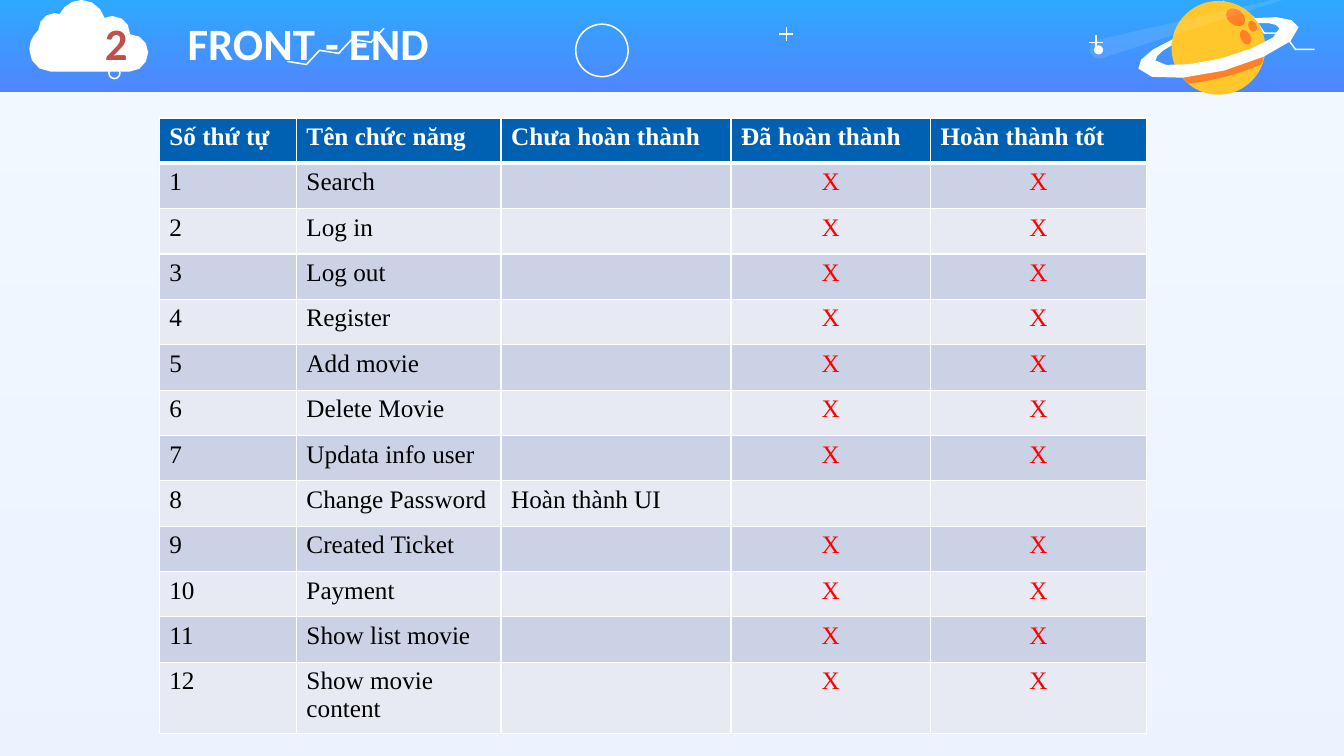
from dataclasses import dataclass

from lxml import etree
from pptx import Presentation
from pptx.dml.color import RGBColor
from pptx.enum.shapes import MSO_CONNECTOR, MSO_SHAPE
from pptx.enum.text import MSO_AUTO_SIZE, PP_ALIGN
from pptx.oxml.ns import qn
from pptx.util import Inches, Pt

RECTANGLE, OVAL = MSO_SHAPE.RECTANGLE, MSO_SHAPE.OVAL
STRAIGHT = MSO_CONNECTOR.STRAIGHT
LEFT, CENTER = PP_ALIGN.LEFT, PP_ALIGN.CENTER
GROW = MSO_AUTO_SIZE.SHAPE_TO_FIT_TEXT


@dataclass(frozen=True)
class Theme:
    white: str = "FFFFFF"
    black: str = "000000"
    number: str = "C0504D"
    mark: str = "FF0000"
    sky: tuple = ("81CBFF", "4F86FF")
    banner: tuple = ("2DAAFF", "4F86FF")
    planet: str = "FFC72B"
    crater: str = "FF8026"
    header: str = "0061B3"
    bands: tuple = ("CCD2E5", "E7EAF2")
    title_font: str = "Calibri"
    table_font: str = "Times New Roman"
    title_size: float = 32
    table_size: float = 18
    line_width: float = 1.08


def add_text(paragraph, text, *, font, size, color, bold=False, align=LEFT):
    paragraph.alignment = align
    run = paragraph.add_run()
    run.text = text
    run.font.name, run.font.size, run.font.bold = font, Pt(size), bold
    run.font.color.rgb = RGBColor.from_string(color)


def add_alpha(shape, percent):
    for color in list(shape.element.spPr.iter(qn("a:srgbClr"))):
        etree.SubElement(color, qn("a:alpha"), val=str(percent * 1000))


def trace_curve(nodes):
    """Sample a chain of cubic curves: a start point, then three points per curve."""
    points = [nodes[0]]
    for i in range(0, len(nodes) - 1, 3):
        curve = nodes[i:i + 4]
        is_straight = curve[0] == curve[1] and curve[2] == curve[3]
        steps = 1 if is_straight else 3
        for step in range(1, steps + 1):
            t = step / steps
            weights = ((1 - t) ** 3, 3 * t * (1 - t) ** 2, 3 * t * t * (1 - t), t ** 3)
            points.append(tuple(sum(w * p[axis] for w, p in zip(weights, curve))
                                for axis in (0, 1)))
    return points[:-1]


class SlideBuilder:
    def __init__(self, slide, theme):
        self.slide, self.theme = slide, theme

    def paint(self, shape, fill=None, line=None):
        shape.shadow.inherit = False
        if fill:
            shape.fill.solid()
            shape.fill.fore_color.rgb = RGBColor.from_string(fill)
        else:
            shape.fill.background()
        if line:
            self.stroke(shape.line, line)
        else:
            shape.line.fill.background()
        return shape

    def stroke(self, line, color):
        line.color.rgb = RGBColor.from_string(color)
        line.width = Pt(self.theme.line_width)

    def gradient_band(self, top, height, colors):
        band = self.slide.shapes.add_shape(
            RECTANGLE, 0, Inches(top), Inches(13.33), Inches(height))
        self.paint(band)
        band.fill.gradient()
        band.fill.gradient_angle = 270
        for stop, color in zip(band.fill.gradient_stops, colors):
            stop.color.rgb = RGBColor.from_string(color)
        return band

    def circle(self, left, top, size, **colors):
        self.paint(self.slide.shapes.add_shape(
            OVAL, Inches(left), Inches(top), Inches(size), Inches(size)), **colors)

    def outline(self, points, closed=True, **colors):
        scaled = [(Inches(x), Inches(y)) for x, y in points]
        builder = self.slide.shapes.build_freeform(*scaled[0])
        builder.add_line_segments(scaled[1:], close=closed)
        return self.paint(builder.convert_to_shape(), **colors)

    def sparkle(self, x, y, arm=0.07):
        for dx, dy in ((arm, 0), (0, arm)):
            ray = self.slide.shapes.add_connector(
                STRAIGHT, Inches(x - dx), Inches(y - dy), Inches(x + dx), Inches(y + dy))
            self.stroke(ray.line, self.theme.white)
            etree.SubElement(ray.element.spPr, qn("a:effectLst"))

    def title(self, number, text):
        frame = self.slide.shapes.add_textbox(
            Inches(0.09), Inches(0.11), Inches(4.91), Inches(0.64)).text_frame
        frame.word_wrap = True
        frame.auto_size = GROW
        frame.margin_left = Inches(0.95)
        heading = frame.paragraphs[0]
        tabs = etree.SubElement(heading._p.get_or_add_pPr(), qn("a:tabLst"))
        etree.SubElement(tabs, qn("a:tab"), pos=str(Inches(0.82)), algn="l")
        style = dict(font=self.theme.title_font, size=self.theme.title_size, bold=True)
        add_text(heading, number + "\t", color=self.theme.number, **style)
        add_text(heading, text, color=self.theme.white, **style)

    def borders(self, cell, top, bottom):
        properties = cell._tc.get_or_add_tcPr()
        for index, (side, width) in enumerate(
                (("lnL", 1), ("lnR", 1), ("lnT", top), ("lnB", bottom))):
            border = etree.Element(qn("a:" + side), w=str(Pt(width)))
            fill = etree.SubElement(border, qn("a:solidFill"))
            etree.SubElement(fill, qn("a:srgbClr"), val=self.theme.white)
            properties.insert(index, border)

    def table(self, rows, widths, heights):
        theme = self.theme
        grid = self.slide.shapes.add_table(
            len(rows), len(widths), Inches(1.58), Inches(1.17),
            Inches(sum(widths)), Inches(sum(heights))).table
        grid.horz_banding = False
        for column, width in zip(grid.columns, widths):
            column.width = Inches(width)
        for r, (values, height) in enumerate(zip(rows, heights)):
            grid.rows[r].height = Inches(height)
            is_header = r == 0
            for c, value in enumerate(values):
                cell = grid.cell(r, c)
                cell.fill.solid()
                cell.fill.fore_color.rgb = RGBColor.from_string(
                    theme.header if is_header else theme.bands[(r - 1) % 2])
                self.borders(cell, top=3 if r == 1 else 1, bottom=3 if is_header else 1)
                if value:
                    is_mark = value == "X"
                    color = theme.white if is_header else theme.mark if is_mark else theme.black
                    add_text(cell.text_frame.paragraphs[0], value, font=theme.table_font,
                             size=theme.table_size, color=color, bold=is_header,
                             align=CENTER if is_mark else LEFT)


ZIGZAGS = (
    [(2.85, 0.61), (3.04, 0.64), (3.17, 0.5), (3.36, 0.53), (3.49, 0.39), (3.68, 0.42),
     (3.81, 0.28)],
    [(12.13, 0.01), (12.24, 0.17), (12.43, 0.17), (12.54, 0.33), (12.73, 0.33),
     (12.85, 0.49), (13.04, 0.49)],
)
PLANET_SHADE = [
    (12.51, 0.64), (12.53, 0.59), (12.54, 0.55), (12.55, 0.49), (12.45, 0.55), (12.3, 0.6),
    (12.13, 0.64), (11.96, 0.68), (11.81, 0.71), (11.69, 0.71), (11.72, 0.76), (11.75, 0.8),
    (11.79, 0.83), (11.9, 0.82), (12.03, 0.79), (12.16, 0.76), (12.29, 0.73), (12.41, 0.68),
    (12.51, 0.64)]
PLANET_RING = [
    (12.44, 0.18), (12.45, 0.19), (12.47, 0.21), (12.48, 0.23), (12.6, 0.22), (12.67, 0.24),
    (12.69, 0.28), (12.71, 0.36), (12.45, 0.49), (12.11, 0.58), (11.77, 0.66), (11.49, 0.67),
    (11.46, 0.6), (11.46, 0.56), (11.52, 0.5), (11.62, 0.45), (11.62, 0.43), (11.62, 0.41),
    (11.63, 0.39), (11.4, 0.49), (11.27, 0.6), (11.29, 0.68), (11.32, 0.8), (11.7, 0.81),
    (12.14, 0.7), (12.58, 0.58), (12.91, 0.39), (12.88, 0.27), (12.86, 0.18), (12.68, 0.15),
    (12.44, 0.18)]
CRATERS = (
    [(12.3, 0.11), (12.35, 0.15), (12.36, 0.2), (12.34, 0.24), (12.31, 0.27), (12.25, 0.27),
     (12.21, 0.23), (12.16, 0.2), (12.15, 0.14), (12.17, 0.11), (12.2, 0.07), (12.26, 0.08),
     (12.3, 0.11)],
    [(12.46, 0.24), (12.47, 0.27), (12.47, 0.3), (12.45, 0.31), (12.43, 0.32), (12.4, 0.31),
     (12.39, 0.28), (12.37, 0.25), (12.38, 0.22), (12.4, 0.21), (12.42, 0.2), (12.44, 0.22),
     (12.46, 0.24)],
    [(12.4, 0.35), (12.42, 0.38), (12.41, 0.42), (12.39, 0.44), (12.36, 0.45), (12.33, 0.43),
     (12.31, 0.39), (12.29, 0.36), (12.29, 0.32), (12.32, 0.3), (12.34, 0.29), (12.38, 0.31),
     (12.4, 0.35)],
)
COMET_TAIL = [
    (12.97, -0.08), (12.97, -0.08), (10.92, 0.58), (10.92, 0.58), (10.87, 0.59), (10.82, 0.56),
    (10.81, 0.52), (10.8, 0.47), (10.82, 0.42), (10.87, 0.4), (10.87, 0.4), (12.97, -0.08),
    (12.97, -0.08)]
CLOUD = [
    (0.81, 0), (0.92, 0), (1.01, 0.08), (1.04, 0.18), (1.06, 0.17), (1.09, 0.16), (1.12, 0.16),
    (1.22, 0.16), (1.29, 0.24), (1.29, 0.34), (1.39, 0.34), (1.47, 0.42), (1.47, 0.52),
    (1.47, 0.62), (1.39, 0.71), (1.29, 0.71), (1.29, 0.71), (0.5, 0.71), (0.5, 0.71),
    (0.38, 0.71), (0.29, 0.61), (0.29, 0.49), (0.29, 0.41), (0.33, 0.35), (0.38, 0.3),
    (0.38, 0.21), (0.45, 0.13), (0.54, 0.13), (0.56, 0.13), (0.58, 0.14), (0.59, 0.14),
    (0.63, 0.06), (0.71, 0), (0.81, 0)]
HEADINGS = ("Số thứ tự", "Tên chức năng", "Chưa hoàn thành", "Đã hoàn thành", "Hoàn thành tốt")
FEATURES = ("Search", "Log in", "Log out", "Register", "Add movie", "Delete Movie",
            "Updata info user", "Change Password", "Created Ticket", "Payment",
            "Show list movie", "Show movie content")
UNFINISHED = {"Change Password": ("Hoàn thành UI", "", "")}


def main():
    deck = Presentation()
    deck.slide_width, deck.slide_height = Inches(13.33), Inches(7.5)
    theme = Theme()
    page = SlideBuilder(deck.slides.add_slide(deck.slide_layouts[6]), theme)

    add_alpha(page.gradient_band(-0.04, 7.54, theme.sky), 10)
    page.gradient_band(-0.04, 0.95, theme.banner)
    for zigzag in ZIGZAGS:
        page.outline(zigzag, closed=False, line=theme.white)
    page.circle(1.08, 0.67, 0.11, line=theme.white)
    page.circle(5.71, 0.24, 0.52, line=theme.white)
    page.sparkle(10.87, 0.42)
    page.sparkle(7.8, 0.34)
    page.circle(11.62, 0.01, 0.93, fill=theme.planet)
    page.outline(trace_curve(PLANET_SHADE), fill=theme.crater)
    page.outline(trace_curve(PLANET_RING), fill=theme.white)
    for crater in CRATERS:
        page.outline(trace_curve(crater), fill=theme.crater)
    page.circle(10.85, 0.45, 0.09, fill=theme.white)
    add_alpha(page.outline(trace_curve(COMET_TAIL), fill=theme.white), 10)
    page.outline(trace_curve(CLOUD), fill=theme.white)
    page.title("2", "FRONT - END")

    rows = [HEADINGS] + [(str(number), feature, *UNFINISHED.get(feature, ("", "X", "X")))
                         for number, feature in enumerate(FEATURES, 1)]
    page.table(rows, widths=(1.36, 2.03, 2.28, 1.98, 2.14),
               heights=[0.45] * len(FEATURES) + [0.71])
    deck.save("out.pptx")


if __name__ == "__main__":
    main()
